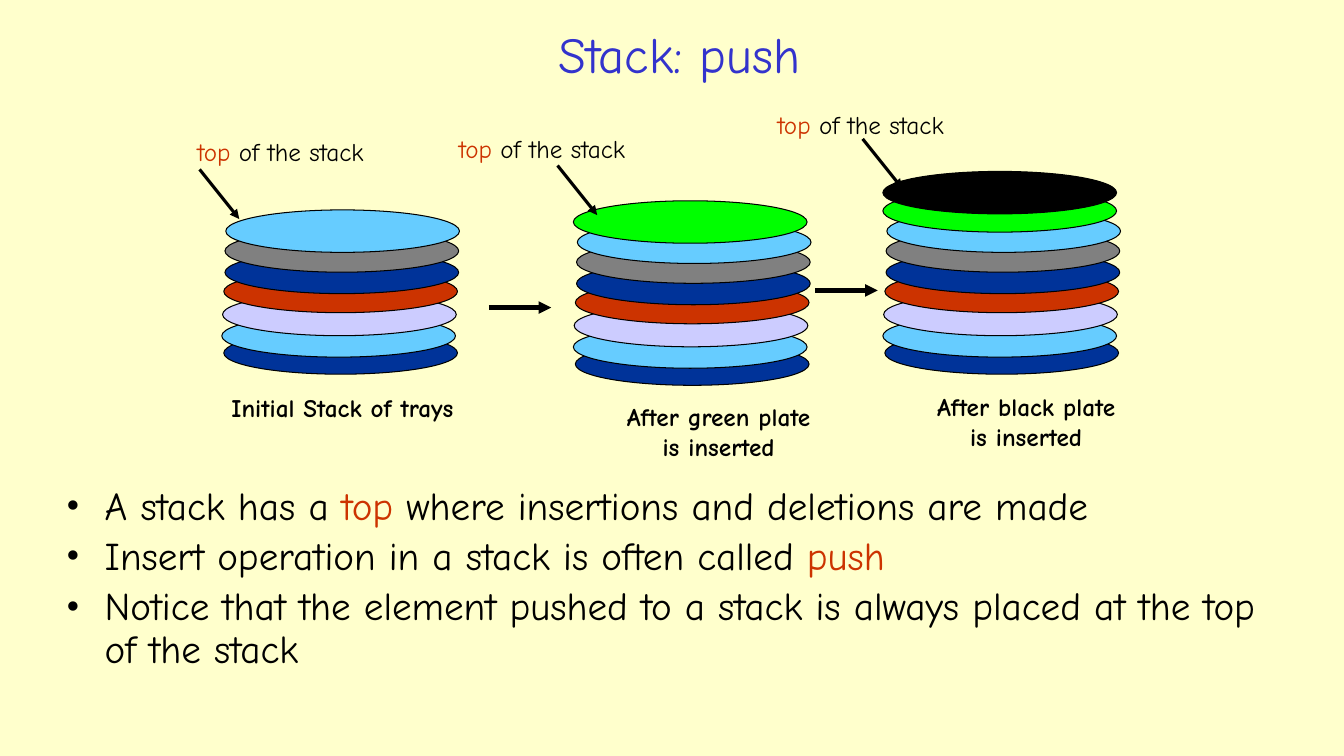
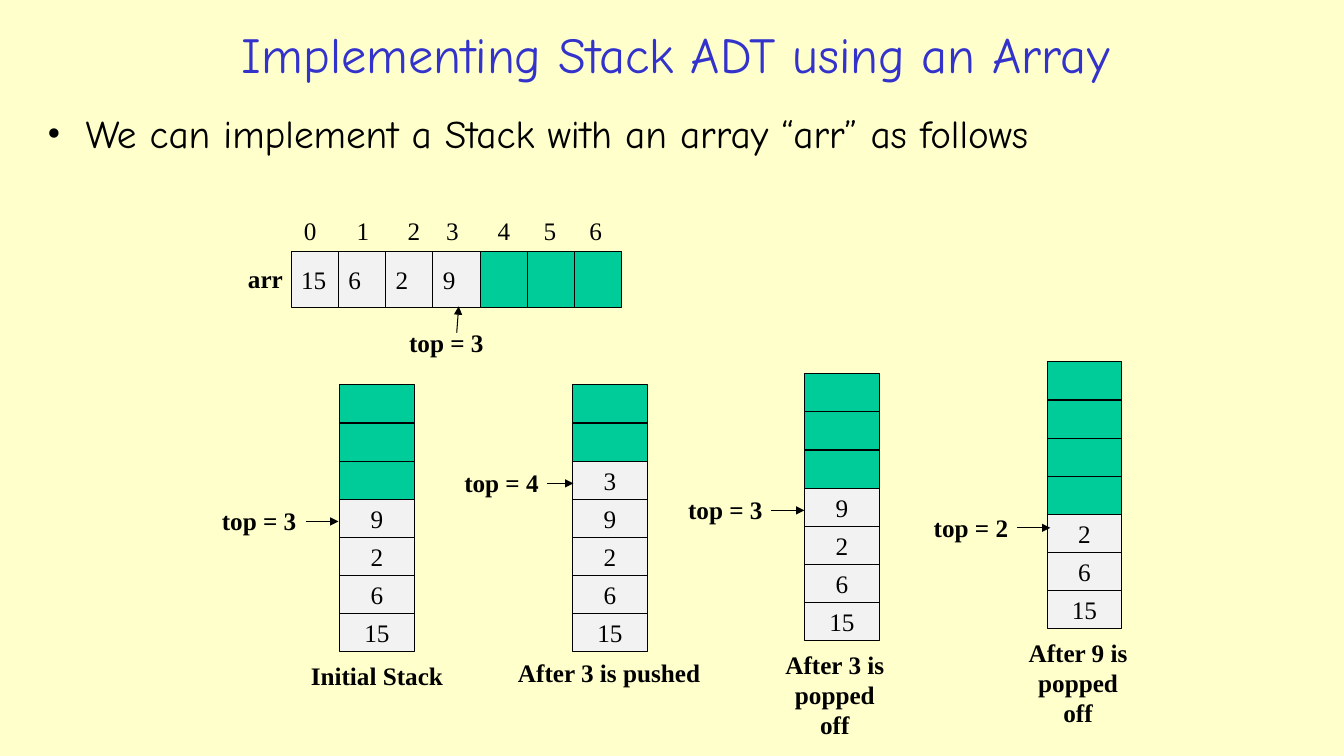
"""Build two slides that explain the stack: push, and an array implementation."""
from dataclasses import dataclass

from lxml import etree
from pptx import Presentation
from pptx import util as u
from pptx.dml.color import RGBColor
from pptx.enum import shapes, text
from pptx.oxml.ns import qn


@dataclass(frozen=True)
class Theme:
    """Colours, fonts and type sizes of the deck."""
    paper: str = "FFFFCC"
    title: str = "3333CC"
    ink: str = "000000"
    accent: str = "CC3300"
    used: str = "F2F2F2"
    free: str = "00CC99"
    navy: str = "003399"
    sky: str = "66CCFF"
    lilac: str = "CCCCFF"
    grey: str = "808080"
    green: str = "00FF00"
    hand: str = "Comic Neue"
    serif: str = "Times New Roman"
    title_size: int = 36
    body_size: int = 28
    label_size: int = 18
    outline: float = 0.75


THEME = Theme()
CENTER = text.PP_ALIGN.CENTER
LEFT = text.PP_ALIGN.LEFT

PUSH_TITLE = ("Stack: push", 5.0, 24.23)
PUSH_POINTS = [
    [("A stack has a ", THEME.ink), ("top", THEME.accent),
     (" where insertions and deletions are made", THEME.ink)],
    [("Insert operation in a stack is often called ", THEME.ink), ("push", THEME.accent)],
    [("Notice that the element pushed to a stack is always placed at the top of the stack",
      THEME.ink)],
]
TOP_LABEL = [[("top ", THEME.accent), ("of the stack", THEME.ink)]]
PLATE_SIZE = (5.89, 1.07)
PLATES = [
    (THEME.navy, 0, 0), (THEME.sky, -0.05, 0.43), (THEME.lilac, -0.03, 0.97),
    (THEME.accent, 0, 1.55), (THEME.navy, 0.03, 2.03), (THEME.grey, 0.03, 2.57),
    (THEME.sky, 0.05, 3.07), (THEME.green, -0.05, 3.58), (THEME.ink, -0.05, 4.04),
]
PLATE_STACKS = [
    dict(base=(5.64, 8.36), count=7, label=(7.07, 3.3), pointer=(5.03, 4.27),
         caption=["Initial Stack of trays"], caption_at=(8.63, 9.75)),
    dict(base=(14.5, 8.64), count=8, label=(13.66, 3.23), pointer=(14.05, 4.17),
         caption=["After green plate", "is inserted"], caption_at=(18.11, 9.98)),
    dict(base=(22.3, 8.36), count=9, label=(21.69, 2.64), pointer=(21.74, 3.5),
         caption=["After black plate", "is inserted"], caption_at=(25.86, 9.73)),
]
POINTER_REACH = (1.0, 1.25)
STEP_ARROWS = [(12.32, 7.75), (20.55, 7.32)]
STEP_LENGTH = 1.57

ARRAY_TITLE = ("Implementing Stack ADT using an Array", 0.94, 32.18)
ARRAY_POINTS = [[("We can implement a Stack with an array “arr” as follows", THEME.ink)]]
CAPACITY = 7
ARRAY_AT = (7.34, 6.35)
ARRAY_CELL = (1.19, 1.4)
ARRAY_VALUES = ["15", "6", "2", "9"]
INDEX_TOP = 5.3
INDEX_CENTERS = [7.82, 9.15, 10.43, 11.4, 12.7, 13.86, 15.01]
ARRAY_LABELS = [("arr", 6.69, 6.5), ("top = 3", 11.25, 8.13)]
ARRAY_ARROW = ((11.51, 8.38), (11.56, 7.72))
COLUMN_CELL = (1.88, 0.96)
COLUMNS = [
    dict(at=(8.56, 9.7), values=["15", "6", "2", "9"], top="top = 3", top_at=(6.53, 12.62),
         arrow=(7.7, 8.53), caption=["Initial Stack"], caption_at=(9.5, 16.51)),
    dict(at=(14.43, 9.7), values=["15", "6", "2", "9", "3"], top="top = 4",
         top_at=(12.64, 11.66), arrow=(13.79, 14.45),
         caption=["After 3 is pushed"], caption_at=(15.35, 16.43)),
    dict(at=(20.28, 9.42), values=["15", "6", "2", "9"], top="top = 3",
         top_at=(18.28, 12.34), arrow=(19.43, 20.27),
         caption=["After 3 is", "popped", "off"], caption_at=(21.04, 16.23)),
    dict(at=(26.39, 9.12), values=["15", "6", "2"], top="top = 2", top_at=(24.47, 12.78),
         arrow=(25.63, 26.47), caption=["After 9 is", "popped", "off"],
         caption_at=(27.17, 15.93)),
]


def apply(target, values):
    """Set every named attribute on the target."""
    for name, value in values.items():
        setattr(target, name, value)


def plain(lines):
    """Turn strings into one-span lines in the ink colour."""
    return [[(line, THEME.ink)] for line in lines]


def write(frame, lines, font, size, bold=False, align=CENTER):
    """Fill a text frame with lines of coloured spans."""
    for number, line in enumerate(lines):
        para = frame.add_paragraph() if number else frame.paragraphs[0]
        para.alignment = align
        for words, color in line:
            span = para.add_run()
            span.text = words
            apply(span.font, dict(name=font, size=u.Pt(size), bold=bold))
            span.font.color.rgb = RGBColor.from_string(color)


def add_box(page, left, top, width, height):
    """Add a wrapping text box and return its frame."""
    frame = page.shapes.add_textbox(*map(u.Cm, (left, top, width, height))).text_frame
    frame.word_wrap = True
    return frame


def add_label(page, center, top, lines, font, bold=False, width=6.5):
    """Add a small label centred on a point."""
    frame = add_box(page, center - width / 2, top, width, 0.25 + 0.76 * len(lines))
    apply(frame, dict(margin_left=0, margin_right=0))
    write(frame, lines, font, THEME.label_size, bold)


def add_points(page, place, lines, spacing=1.0):
    """Add the bulleted body text."""
    frame = add_box(page, *place)
    write(frame, lines, THEME.hand, THEME.body_size, align=LEFT)
    for number, para in enumerate(frame.paragraphs):
        props = para._p.get_or_add_pPr()
        apply(para, dict(line_spacing=spacing,
                         space_before=u.Pt(0.2 * THEME.body_size if number else 0)))
        props.set("marL", str(u.Cm(0.97)))
        props.set("indent", str(-u.Cm(0.97)))
        etree.SubElement(props, qn("a:buFont")).set("typeface", THEME.serif)
        etree.SubElement(props, qn("a:buChar")).set("char", "•")


def add_filled(page, kind, place, color):
    """Add an outlined preset shape."""
    shape = page.shapes.add_shape(kind, *map(u.Cm, place))
    shape.shadow.inherit = False
    shape.fill.solid()
    shape.fill.fore_color.rgb = RGBColor.from_string(color)
    shape.line.color.rgb = RGBColor.from_string(THEME.ink)
    shape.line.width = u.Pt(THEME.outline)
    return shape


def add_cell(page, place, value, align=CENTER):
    """Add a cell, used when it has a value and free otherwise."""
    color = THEME.free if value is None else THEME.used
    frame = add_filled(page, shapes.MSO_SHAPE.RECTANGLE, place, color).text_frame
    if value is not None:
        apply(frame, dict(vertical_anchor=text.MSO_ANCHOR.MIDDLE, word_wrap=True,
                          margin_left=u.Cm(0.25 if align == LEFT else 0),
                          margin_right=0, margin_top=0, margin_bottom=0))
        write(frame, plain([value]), THEME.serif, THEME.label_size, align=align)


def add_arrow(page, start, end, weight=THEME.outline):
    """Add a straight arrow with a triangle at its end."""
    arrow = page.shapes.add_connector(
        shapes.MSO_CONNECTOR.STRAIGHT, *map(u.Cm, (*start, *end)))
    arrow.line.color.rgb = RGBColor.from_string(THEME.ink)
    arrow.line.width = u.Pt(weight)
    etree.SubElement(arrow.line._get_or_add_ln(), qn("a:tailEnd")).set("type", "triangle")
    etree.SubElement(arrow._element.spPr, qn("a:effectLst"))


def add_page(deck, words, left, width):
    """Add a title-only page with the shared title style."""
    page = deck.slides.add_slide(deck.slide_layouts[5])
    title = page.shapes.title
    apply(title, dict(left=u.Cm(left), top=u.Cm(0.38), width=u.Cm(width), height=u.Cm(1.93)))
    apply(title.text_frame, dict(vertical_anchor=text.MSO_ANCHOR.MIDDLE, word_wrap=True,
                                 auto_size=text.MSO_AUTO_SIZE.NONE))
    write(title.text_frame, [[(words, THEME.title)]], THEME.hand, THEME.title_size)
    return page


def build_push(deck):
    """Draw the three stacks of plates."""
    page = add_page(deck, *PUSH_TITLE)
    for stack in PLATE_STACKS:
        left, top = stack["base"]
        for color, shift, rise in PLATES[:stack["count"]]:
            add_filled(page, shapes.MSO_SHAPE.OVAL,
                       (left + shift, top - rise, *PLATE_SIZE), color)
        add_label(page, *stack["caption_at"], plain(stack["caption"]), THEME.hand, True)
        add_label(page, *stack["label"], TOP_LABEL, THEME.hand)
        start = stack["pointer"]
        add_arrow(page, start, [a + b for a, b in zip(start, POINTER_REACH)], 2.25)
    for left, top in STEP_ARROWS:
        add_arrow(page, (left, top), (left + STEP_LENGTH, top), 3)
    add_points(page, (1.42, 12.14, 31.32, 5.72), PUSH_POINTS, 0.9)


def build_array(deck):
    """Draw the array and the four stack states."""
    page = add_page(deck, *ARRAY_TITLE)
    add_points(page, (0.94, 2.64, 32.18, 2.69), ARRAY_POINTS)
    left, top = ARRAY_AT
    width, height = ARRAY_CELL
    for index, center in enumerate(INDEX_CENTERS):
        value = ARRAY_VALUES[index] if index < len(ARRAY_VALUES) else None
        add_cell(page, (left + index * width, top, width, height), value, LEFT)
        add_label(page, center, INDEX_TOP, plain([str(index)]), THEME.serif, width=1)
    for words, center, label_top in ARRAY_LABELS:
        add_label(page, center, label_top, plain([words]), THEME.serif, True, 2.4)
    add_arrow(page, *ARRAY_ARROW)

    width, height = COLUMN_CELL
    for column in COLUMNS:
        left, top = column["at"]
        values = column["values"]
        for index in range(CAPACITY):
            value = values[index] if index < len(values) else None
            add_cell(page, (left, top + (CAPACITY - 1 - index) * height, width, height), value)
        add_label(page, *column["top_at"], plain([column["top"]]), THEME.serif, True, 2.4)
        level = column["top_at"][1] + 0.52
        start, end = column["arrow"]
        add_arrow(page, (start, level), (end, level))
        add_label(page, *column["caption_at"], plain(column["caption"]), THEME.serif, True)


def main():
    """Build and save the deck."""
    deck = Presentation()
    apply(deck, dict(slide_width=u.Cm(33.87), slide_height=u.Cm(19.05)))
    fill = deck.slide_master.background.fill
    fill.solid()
    fill.fore_color.rgb = RGBColor.from_string(THEME.paper)
    build_push(deck)
    build_array(deck)
    deck.save("out.pptx")


if __name__ == "__main__":
    main()
